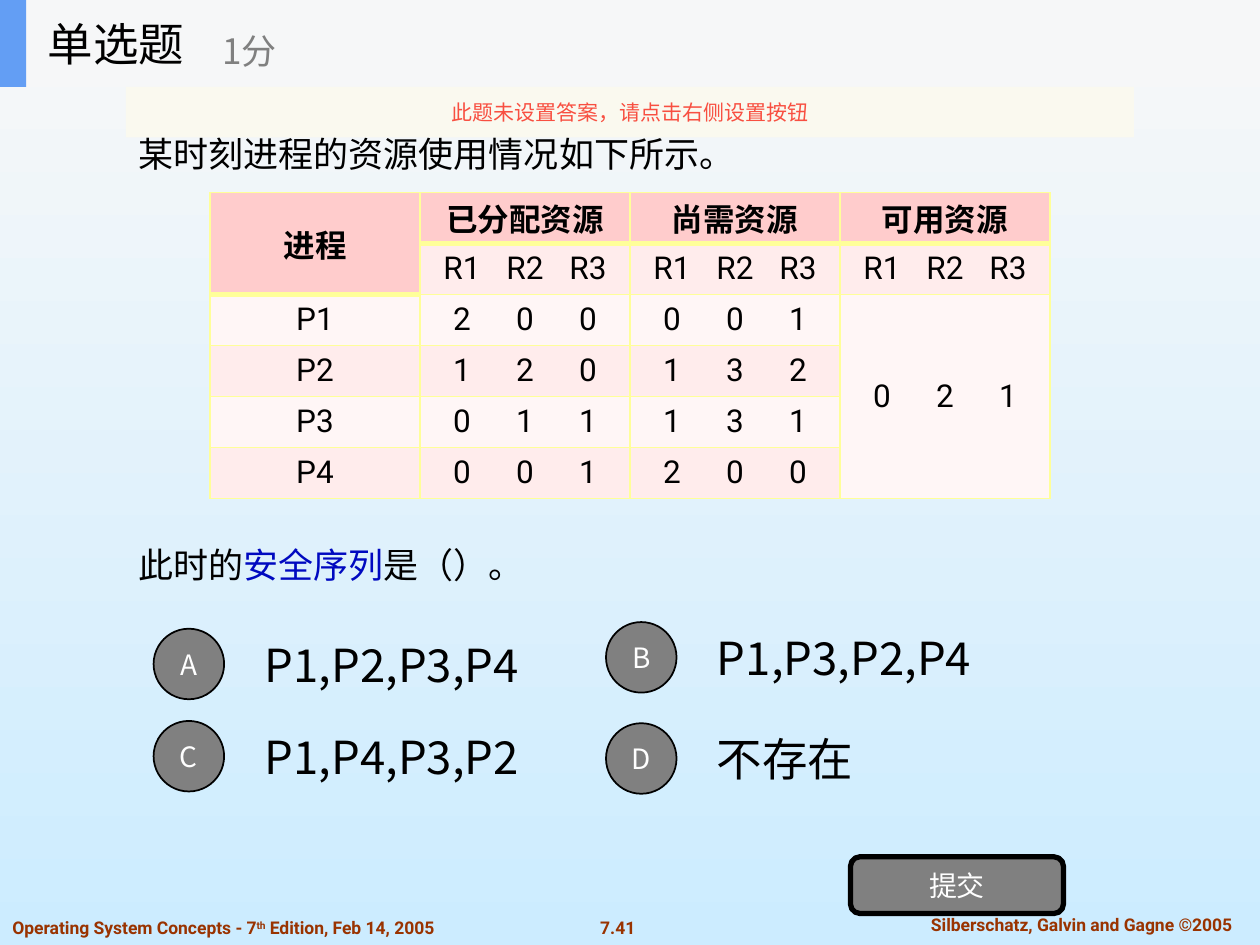
from typing import NamedTuple

from lxml import etree
from pptx import Presentation
from pptx.dml.color import RGBColor
from pptx.enum.shapes import MSO_SHAPE
from pptx.enum.text import MSO_ANCHOR, PP_ALIGN
from pptx.oxml.ns import qn
from pptx.util import Pt

LEFT, CENTER = PP_ALIGN.LEFT, PP_ALIGN.CENTER
TOP, MIDDLE = MSO_ANCHOR.TOP, MSO_ANCHOR.MIDDLE
RECT, ROUND, OVAL = MSO_SHAPE.RECTANGLE, MSO_SHAPE.ROUNDED_RECTANGLE, MSO_SHAPE.OVAL
CJK, ROBOTO = "Noto Sans CJK SC", "Roboto"
BLACK, WHITE, GRAY = "000000", "FFFFFF", "808080"
BROWN, BLUE, GRID = "993300", "0009C0", "FFFF99"


class Style(NamedTuple):
    size: float
    color: str = BLACK
    font: str = CJK
    bold: bool = False


class Box(NamedTuple):
    left: float
    top: float
    width: float
    height: float


class Option(NamedTuple):
    letter: str
    answer: str
    left: float
    top: float
    width: float = 167


def rgb(value: str) -> RGBColor:
    return RGBColor.from_string(value)


def points(box: Box) -> list:
    return [Pt(length) for length in box]


def add_run(paragraph, text: str, style: Style):
    run = paragraph.add_run()
    run.text = text
    font_format = {"size": Pt(style.size), "name": style.font, "bold": style.bold}
    for name, value in font_format.items():
        setattr(run.font, name, value)
    run.font.color.rgb = rgb(style.color)
    east_asian = etree.SubElement(run.font._element, qn("a:ea"))
    east_asian.set("typeface", CJK)
    return run


def add_text(slide, box: Box, text: str, style: Style, align=LEFT, anchor=MIDDLE):
    frame = slide.shapes.add_textbox(*points(box)).text_frame
    frame.word_wrap = True
    frame.vertical_anchor = anchor
    frame.paragraphs[0].alignment = align
    if text:
        add_run(frame.paragraphs[0], text, style)
    return frame


def add_block(slide, kind, box: Box, fill: str, line: float = 0,
              text: str = "", style: Style = Style(16, WHITE)):
    block = slide.shapes.add_shape(kind, *points(box))
    block.shadow.inherit = False
    block.fill.solid()
    block.fill.fore_color.rgb = rgb(fill)
    if line:
        block.line.color.rgb = rgb(BLACK)
        block.line.width = Pt(line)
    else:
        block.line.fill.background()
    if text:
        frame = block.text_frame
        frame.word_wrap = False
        frame.vertical_anchor = MIDDLE
        frame.paragraphs[0].alignment = CENTER
        add_run(frame.paragraphs[0], text, style)
    return block


def set_borders(cell, widths: dict) -> None:
    for side, width in widths.items():
        line = etree.SubElement(cell._tc.get_or_add_tcPr(), qn(f"a:ln{side}"))
        line.set("w", str(Pt(width)))
        fill = etree.SubElement(line, qn("a:solidFill"))
        etree.SubElement(fill, qn("a:srgbClr")).set("val", GRID)


def add_tab_stops(paragraph, positions: tuple) -> None:
    tabs = etree.SubElement(paragraph._p.get_or_add_pPr(), qn("a:tabLst"))
    for position in positions:
        tab = etree.SubElement(tabs, qn("a:tab"))
        tab.set("pos", str(Pt(position)))
        tab.set("algn", "ctr")


def border_under(row: int, column: int) -> float:
    """The line below a heading is thick."""
    return 3 if row == (1 if column == 0 else 0) else 1


def add_resource_table(slide, box: Box, rows: list) -> None:
    table = slide.shapes.add_table(len(rows), len(rows[0]), *points(box)).table
    table.first_row = table.horz_banding = False
    margins = dict.fromkeys(
        ("margin_left", "margin_right", "margin_top", "margin_bottom"), 0)
    for r, row in enumerate(rows):
        fill = "FFCCCC" if r == 0 else "FFECEC" if r % 2 else "FFF6F6"
        for c, content in enumerate(row):
            cell = table.cell(r, c)
            for name, value in margins.items():
                setattr(cell, name, value)
            set_borders(cell, {"L": 1, "R": 1, "T": border_under(r - 1, c),
                               "B": border_under(r, c)})
            cell.fill.solid()
            cell.fill.fore_color.rgb = rgb(fill)
            cell.vertical_anchor = MIDDLE
            paragraph = cell.text_frame.paragraphs[0]
            if isinstance(content, tuple):
                paragraph.alignment = LEFT
                add_tab_stops(paragraph, (24, 60, 96))
                content = "".join(f"\t{value}" for value in content)
            else:
                paragraph.alignment = CENTER
            if content:
                add_run(paragraph, content, Style(18, BLACK, ROBOTO, r == 0))
    table.cell(0, 0).merge(table.cell(1, 0))
    table.cell(2, 3).merge(table.cell(5, 3))


def add_option(slide, option: Option) -> None:
    label = Box(option.left + 56.3, option.top - 5, option.width, 50.4)
    add_text(slide, label, option.answer, Style(26))
    circle = Box(option.left, option.top, 40.3, 40.3)
    add_block(slide, OVAL, circle, GRAY, 1, option.letter)


def main() -> None:
    deck = Presentation()
    deck.slide_width, deck.slide_height = Pt(720), Pt(540)
    slide = deck.slides.add_slide(deck.slide_layouts[6])

    # Background
    backdrop = slide.background.fill
    backdrop.gradient()
    backdrop.gradient_angle = 270
    for stop, color in zip(backdrop.gradient_stops, ("F8F8F8", "CCECFF")):
        stop.color.rgb = rgb(color)

    # Footer
    footer = Style(10, BROWN, ROBOTO, True)
    add_text(slide, Box(334, 520.5, 38, 19.5), "7.41", footer, CENTER, TOP)
    add_text(slide, Box(511, 518.5, 214, 19.5),
             "Silberschatz, Galvin and Gagne ©2005", footer, CENTER, TOP)
    edition = add_text(slide, Box(0, 520.5, 302, 19.5),
                       "Operating System Concepts - 7", footer, anchor=TOP).paragraphs[0]
    ordinal = add_run(edition, "th", footer)
    ordinal.font._element.set("baseline", "30000")
    add_run(edition, " Edition, Feb 14, 2005", footer)

    # Question, with room for the table between its two paragraphs
    body = Style(20)
    question = add_text(slide, Box(72, 72, 576, 275),
                        "某时刻进程的资源使用情况如下所示。", body, anchor=TOP)
    sequence = question.add_paragraph()
    sequence.space_before = Pt(211)
    for text, style in (("此时的", body), ("安全序列", Style(20, BLUE)), ("是（）。", body)):
        add_run(sequence, text, style)

    # Answers
    for option in (Option("A", "P1,P2,P3,P4", 87.8, 359.3),
                   Option("B", "P1,P3,P2,P4", 346.3, 355.5),
                   Option("C", "P1,P4,P3,P2", 87.8, 412),
                   Option("D", "不存在", 346.3, 413.3, 97)):
        add_option(slide, option)
    add_block(slide, ROUND, Box(486, 489.6, 121.7, 32.4), GRAY, 3, "提交")

    # Resource table
    names = ("R1", "R2", "R3")
    add_resource_table(slide, Box(120, 110, 480, 175), [
        ["进程", "已分配资源", "尚需资源", "可用资源"],
        ["", names, names, names],
        ["P1", (2, 0, 0), (0, 0, 1), (0, 2, 1)],
        ["P2", (1, 2, 0), (1, 3, 2), ""],
        ["P3", (0, 1, 1), (1, 3, 1), ""],
        ["P4", (0, 0, 1), (2, 0, 0), ""],
    ])

    # Title bar
    add_block(slide, RECT, Box(0, 0, 720, 49.7), "F6F7F8")
    add_block(slide, RECT, Box(0, 0, 15, 49.7), "639EF4")
    add_text(slide, Box(20.3, 0, 150, 49.7), "单选题", Style(26))
    add_text(slide, Box(120, 8.6, 180, 40.3), "1分", Style(20, GRAY))

    # Notice
    notice = add_block(slide, RECT, Box(72, 49.7, 576, 28.8), "FBFAEF", 0,
                       "此题未设置答案，请点击右侧设置按钮", Style(12, "F84F41"))
    tint = notice._element.spPr.find(f"{qn('a:solidFill')}/{qn('a:srgbClr')}")
    etree.SubElement(tint, qn("a:alpha")).set("val", "90000")

    deck.save("out.pptx")


if __name__ == "__main__":
    main()
